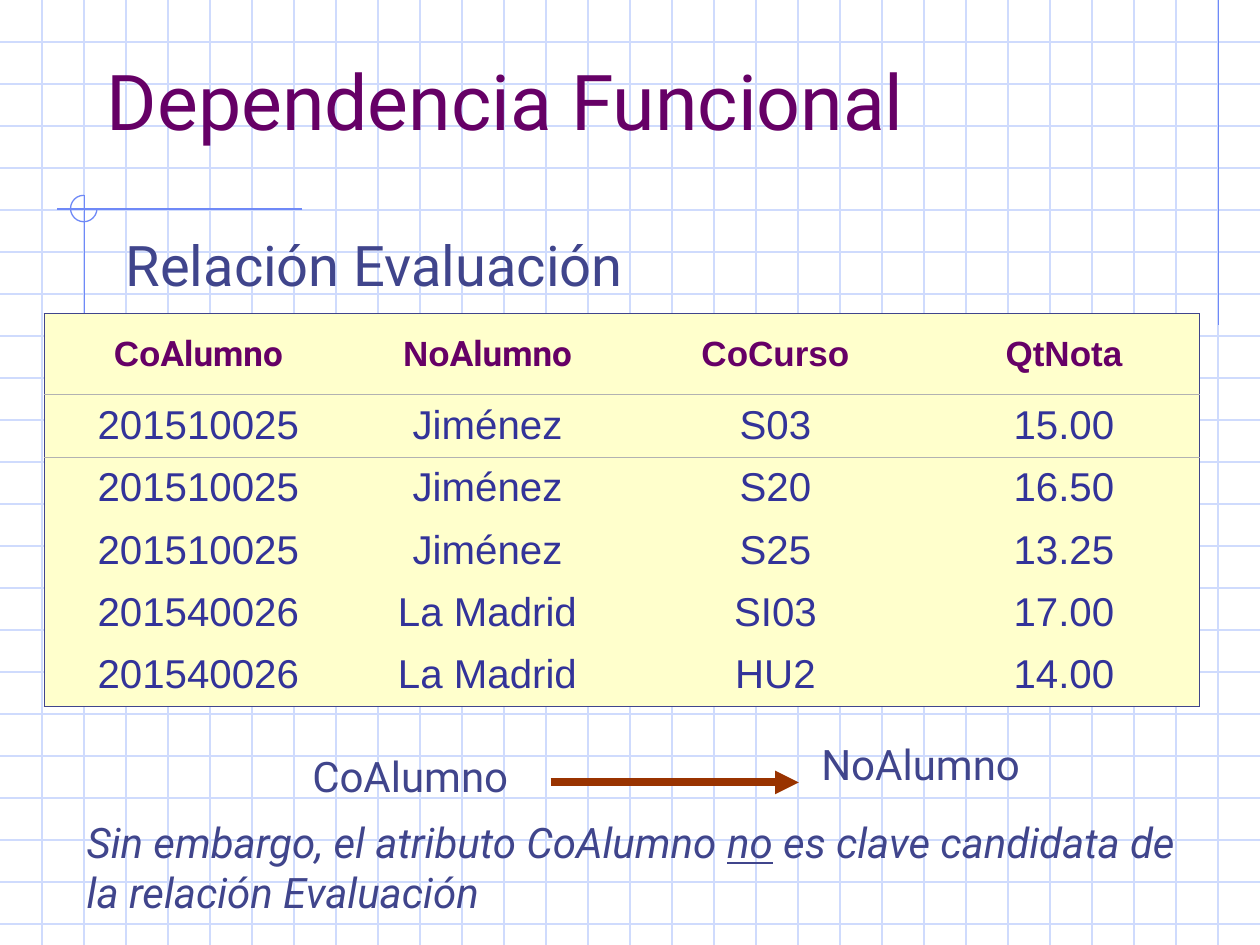
from dataclasses import dataclass

from lxml import etree
from pptx import Presentation
from pptx.dml.color import RGBColor
from pptx.enum import shapes, text
from pptx.oxml import ns
from pptx.util import Inches, Pt

COLORS = {
    "grid": "CFDBFD", "accent": "6F89F7", "title": "660066", "body": "40458C",
    "cell": "FFFFCC", "value": "333399", "rule": "B2B2B2", "arrow": "993300",
}
GRID_STEP = 1 / 3
SLIDE_WIDTH, SLIDE_HEIGHT = 10, 7.5
NO_GRID_STYLE = "{2D5ABB26-0587-4C30-8999-92F81FD0307C}"


@dataclass
class Span:
    words: str
    font: dict


@dataclass
class Label:
    left: float
    top: float
    width: float
    height: float
    spans: list[Span]
    space_before: float = 0
    anchor: text.MSO_ANCHOR = text.MSO_ANCHOR.TOP


@dataclass
class Rule:
    start: tuple[float, float]
    end: tuple[float, float]
    color: str
    width: float = 0.75
    arrow: bool = False


def color(name: str) -> RGBColor:
    return RGBColor.from_string(COLORS[name])


def style(name: str, size: float, family: str = "Roboto", **extra) -> dict:
    return {"color": name, "size": Pt(size), "name": family, **extra}


def add_spans(para, spans: list[Span]) -> None:
    for item in spans:
        span = para.add_run()
        span.text = item.words
        for key, value in item.font.items():
            if key == "color":
                span.font.color.rgb = color(value)
            else:
                setattr(span.font, key, value)


def add_label(page, label: Label) -> None:
    box = page.shapes.add_textbox(*map(Inches, (label.left, label.top, label.width, label.height)))
    box.text_frame.word_wrap = True
    box.text_frame.vertical_anchor = label.anchor
    para = box.text_frame.paragraphs[0]
    para.space_before = Pt(label.space_before)
    add_spans(para, label.spans)


def add_rule(page, rule: Rule) -> None:
    line = page.shapes.add_connector(
        shapes.MSO_CONNECTOR.STRAIGHT, *map(Inches, rule.start + rule.end))
    line.line.color.rgb = color(rule.color)
    line.line.width = Pt(rule.width)
    if rule.arrow:
        etree.SubElement(line.line._get_or_add_ln(), ns.qn("a:tailEnd"), type="triangle")
    etree.SubElement(line._element.spPr, ns.qn("a:effectLst"))


def add_border(cell, side: str, name: str, width: float) -> None:
    properties = cell._tc.get_or_add_tcPr()
    line = etree.SubElement(properties, ns.qn(f"a:ln{side}"), w=str(Pt(width)))
    fill = etree.SubElement(line, ns.qn("a:solidFill"))
    etree.SubElement(fill, ns.qn("a:srgbClr"), val=COLORS[name])


def add_grades(page, header: list[list[Span]], records: list[tuple[str, ...]]) -> None:
    widths, heights = (2.45, 2.14, 2.43, 2.15), [0.64] + [0.495] * len(records)
    value = style("value", 23, "Arial")
    rows = header_and_body = [header] + [[[Span(item, value)] for item in row] for row in records]
    frame = page.shapes.add_table(
        len(rows), len(widths), *map(Inches, (0.35, 2.49, sum(widths), sum(heights))))
    grades = frame.table
    grades.first_row = grades.horz_banding = False
    grades._tbl.tblPr.find(ns.qn("a:tableStyleId")).text = NO_GRID_STYLE
    for column, width in zip(grades.columns, widths):
        column.width = Inches(width)
    for row, height in zip(grades.rows, heights):
        row.height = Inches(height)

    last_row, last_column = len(rows) - 1, len(widths) - 1
    for r, row in enumerate(header_and_body):
        for c, spans in enumerate(row):
            cell = grades.cell(r, c)
            # Outer frame, plus a hairline on both sides of the header edge
            borders = [
                ("L", c == 0, "body", 0.75),
                ("R", c == last_column, "body", 0.75),
                ("T", r == 0, "body", 0.75),
                ("T", r == 1, "rule", 0.25),
                ("B", r == 0, "rule", 0.25),
                ("B", r == last_row, "body", 0.75),
            ]
            for side, shown, name, width in borders:
                if shown:
                    add_border(cell, side, name, width)
            cell.fill.solid()
            cell.fill.fore_color.rgb = color("cell")
            cell.vertical_anchor = text.MSO_ANCHOR.MIDDLE
            for margin in ("left", "right", "top", "bottom"):
                setattr(cell, f"margin_{margin}", 0)
            para = cell.text_frame.paragraphs[0]
            para.alignment = text.PP_ALIGN.CENTER
            add_spans(para, spans)


def add_background(page) -> None:
    # Squared paper
    for i in range(1, int(SLIDE_HEIGHT / GRID_STEP) + 1):
        add_rule(page, Rule((0, i * GRID_STEP), (SLIDE_WIDTH, i * GRID_STEP), "grid"))
    for i in range(1, int(SLIDE_WIDTH / GRID_STEP)):
        add_rule(page, Rule((i * GRID_STEP, 0), (i * GRID_STEP, SLIDE_HEIGHT), "grid"))
    # Accent lines with the open circle at their crossing
    for start, end in (((9.67, 0), (9.67, 2.58)),
                       ((2.4, 1.66), (0.45, 1.66)),
                       ((0.67, 1.55), (0.67, 4.09))):
        add_rule(page, Rule(start, end, "accent"))
    arc = page.shapes.add_shape(
        shapes.MSO_SHAPE.ARC, *map(Inches, (0.56, 1.55, 0.21, 0.21)))
    arc.adjustments[0], arc.adjustments[1] = 0, 162  # three quarters, clockwise
    arc.shadow.inherit = False
    arc.fill.background()
    arc.line.color.rgb = color("accent")
    arc.line.width = Pt(0.75)


def main() -> None:
    deck = Presentation()
    deck.slide_width, deck.slide_height = Inches(SLIDE_WIDTH), Inches(SLIDE_HEIGHT)
    page = deck.slides.add_slide(deck.slide_layouts[6])
    add_background(page)

    # Grades table
    arial = style("title", 20, "Arial", bold=True)
    roboto = style("title", 20, bold=True)
    header = [
        [Span("Co", arial), Span("Alumno", roboto)],
        [Span("No", arial), Span("Alumno", roboto)],
        [Span("CoCurso", arial)],
        [Span("QtNota", arial)],
    ]
    add_grades(page, header, [
        ("201510025", "Jiménez", "S03", "15.00"),
        ("201510025", "Jiménez", "S20", "16.50"),
        ("201510025", "Jiménez", "S25", "13.25"),
        ("201540026", "La Madrid", "SI03", "17.00"),
        ("201540026", "La Madrid", "HU2", "14.00"),
    ])

    # Headings, dependency and conclusion
    body, note = style("body", 24), style("body", 24, italic=True)
    middle = text.MSO_ANCHOR.MIDDLE
    for label in (
        Label(0.75, 0.33, 8.5, 0.92,
              [Span("Dependencia Funcional", style("title", 44))], anchor=middle),
        Label(0.9, 1.78, 4.44, 0.64,
              [Span("Relación Evaluación", style("body", 32))], 20, middle),
        Label(2.38, 5.91, 1.91, 0.5, [Span("CoAlumno", body)]),
        Label(6.42, 5.81, 1.91, 0.5, [Span("NoAlumno", body)]),
        Label(0.59, 6.43, 9.17, 0.9, [
            Span("Sin embargo, el atributo CoAlumno ", note),
            Span("no", {**note, "underline": True}),
            Span(" es clave candidata de la relación Evaluación", note),
        ], 15),
    ):
        add_label(page, label)
    add_rule(page, Rule((4.37, 6.21), (6.34, 6.21), "arrow", 4.5, arrow=True))

    deck.save("out.pptx")


if __name__ == "__main__":
    main()
